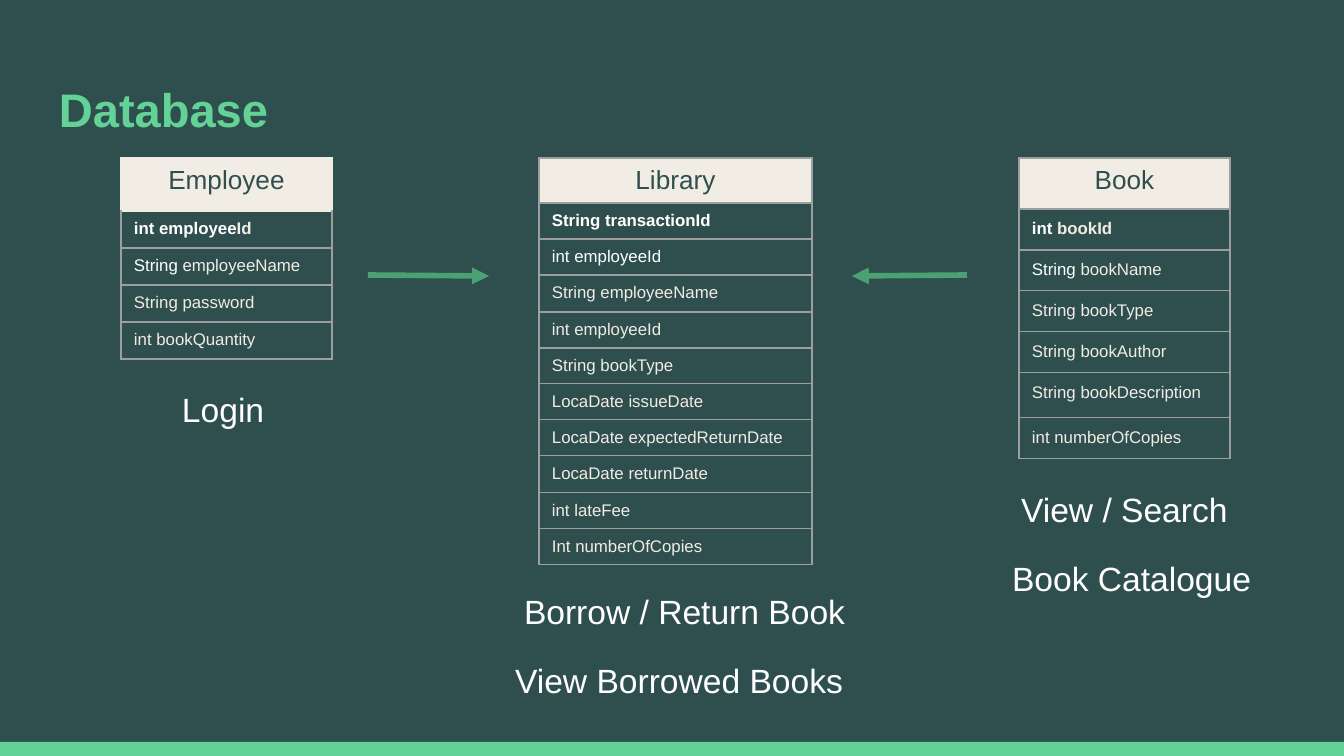
from pptx import Presentation
from pptx.dml.color import RGBColor
from pptx.enum.shapes import MSO_CONNECTOR, MSO_SHAPE
from pptx.enum.text import MSO_ANCHOR, PP_ALIGN
from pptx.oxml.ns import qn
from pptx.util import Pt
from lxml import etree

STRAIGHT = MSO_CONNECTOR.STRAIGHT
RECT = MSO_SHAPE.RECTANGLE
TOP, BOTTOM = MSO_ANCHOR.TOP, MSO_ANCHOR.BOTTOM
LEFT, CENTER = PP_ALIGN.LEFT, PP_ALIGN.CENTER
PX = 914400 / 134.4

THEME = {
    "font": "Arial",
    "bg": "2F4F4F", "green": "63D297", "arrow": "4BA173",
    "cream": "F1ECE4", "white": "FFFFFF", "border": "9E9E9E",
    "title": 25.2, "caption": 18, "header": 14, "field": 9,
}


def write(p, text, size, color, bold=False, align=LEFT, spacing=1.0,
          before=0, after=0, indent=0):
    p.alignment, p.line_spacing = align, spacing
    p.space_before, p.space_after = Pt(before), Pt(after)
    if indent:
        p._p.get_or_add_pPr().set("indent", str(round(indent * PX)))
    r = p.add_run()
    r.text = text
    r.font.name, r.font.size, r.font.bold = THEME["font"], Pt(THEME[size]), bold
    r.font.color.rgb = RGBColor.from_string(THEME[color])


def add_box(x, y, w, h, anchor=TOP):
    sp = s.shapes.add_textbox(*[round(v * PX) for v in (x, y, w, h)])
    tf = sp.text_frame
    tf.word_wrap, tf.vertical_anchor = True, anchor
    tf.margin_left = tf.margin_right = tf.margin_top = tf.margin_bottom = round(13 * PX)
    return tf


prs = Presentation()
prs.slide_width, prs.slide_height = round(1344 * PX), round(756 * PX)
s = prs.slides.add_slide(prs.slide_layouts[6])
s.background.fill.solid()
s.background.fill.fore_color.rgb = RGBColor.from_string(THEME["bg"])

# Bottom band
band = s.shapes.add_shape(RECT, 0, round(742 * PX), prs.slide_width, round(14 * PX))
band.shadow.inherit = False
band.fill.solid()
band.fill.fore_color.rgb = RGBColor.from_string(THEME["green"])
band.line.fill.background()

# Title
tf = add_box(46, 66, 1253, 84, BOTTOM)
write(tf.paragraphs[0], "Database", "title", "green", bold=True)

# Entity tables: left, width, row heights, header border, line spacing, rows.
# The part of a field before "|" is white, the rest is cream.
entities = [
    (121, 211, [53] + [37] * 4, "cream", 1.0,
     ["Employee", "int employee|Id", "String |employeeName", "String password",
      "int bookQuantity"]),
    (539, 273, [45] + [36, 36, 37, 36, 36] * 2, "border", 1.0,
     ["Library", "String transactionId|", "int employeeId|", "String employeeName",
      "int employeeId", "String bookType", "LocaDate issueDate",
      "LocaDate expectedReturnDate", "LocaDate returnDate", "int lateFee",
      "Int numberOfCopies"]),
    (1019, 211, [51] + [41] * 4 + [45, 41], "border", 1.15,
     ["Book", "int |bookId", "String |bookName", "String bookType",
      "String bookAuthor", "String bookDescription", "int numberOfCopies"]),
]
for x, w, heights, header_border, spacing, rows in entities:
    tbl = s.shapes.add_table(len(rows), 1, round(x * PX), round(158 * PX),
                             round(w * PX), round(sum(heights) * PX)).table
    tbl.first_row = tbl.horz_banding = False
    for i, (text, h) in enumerate(zip(rows, heights)):
        tbl.rows[i].height = round(h * PX)
        cell = tbl.cell(i, 0)
        cell.margin_left = cell.margin_right = round(13 * PX)
        cell.margin_top, cell.margin_bottom = round(8 * PX), 0

        # Borders come before the fill in the cell properties
        for side in ("lnL", "lnR", "lnT", "lnB"):
            edge = header_border if i == 0 or (i == 1 and side == "lnT") else "border"
            ln = etree.SubElement(cell._tc.get_or_add_tcPr(), qn("a:" + side), w="9525")
            fill = etree.SubElement(ln, qn("a:solidFill"))
            etree.SubElement(fill, qn("a:srgbClr"), val=THEME[edge])

        p = cell.text_frame.paragraphs[0]
        if i == 0:
            cell.fill.solid()
            cell.fill.fore_color.rgb = RGBColor.from_string(THEME["cream"])
            write(p, text, "header", "bg", align=CENTER)
            continue
        cell.fill.background()
        white, _, cream = text.rpartition("|")
        for part, color in ((white, "white"), (cream, "cream")):
            if part:
                write(p, part, "field", color, bold=i == 1, spacing=spacing)

# Arrows towards the library table
for ends in ((368, 275, 489, 276), (967, 275, 852, 276)):
    cx = s.shapes.add_connector(STRAIGHT, *[round(v * PX) for v in ends])
    cx.line.width = Pt(3)
    cx.line.color.rgb = RGBColor.from_string(THEME["arrow"])
    etree.SubElement(cx.line._get_or_add_ln(), qn("a:tailEnd"), type="triangle")
    etree.SubElement(cx._element.spPr, qn("a:effectLst"))

# Captions under the tables, first line slightly indented
captions = [
    (160, 370, 211, 67, ["Login"]),
    (999, 470, 273, 137, ["View / Search", "Book Catalogue"]),
    (502, 572, 375, 137, ["Borrow / Return Book", "View Borrowed Books"]),
]
for x, y, w, h, lines in captions:
    tf = add_box(x, y, w, h)
    for i, text in enumerate(lines):
        p = tf.add_paragraph() if i else tf.paragraphs[0]
        write(p, text, "caption", "white", spacing=1.15, before=12 if i else 0,
              after=12 if i == len(lines) - 1 else 0, indent=0 if i else 9)

prs.save("out.pptx")
